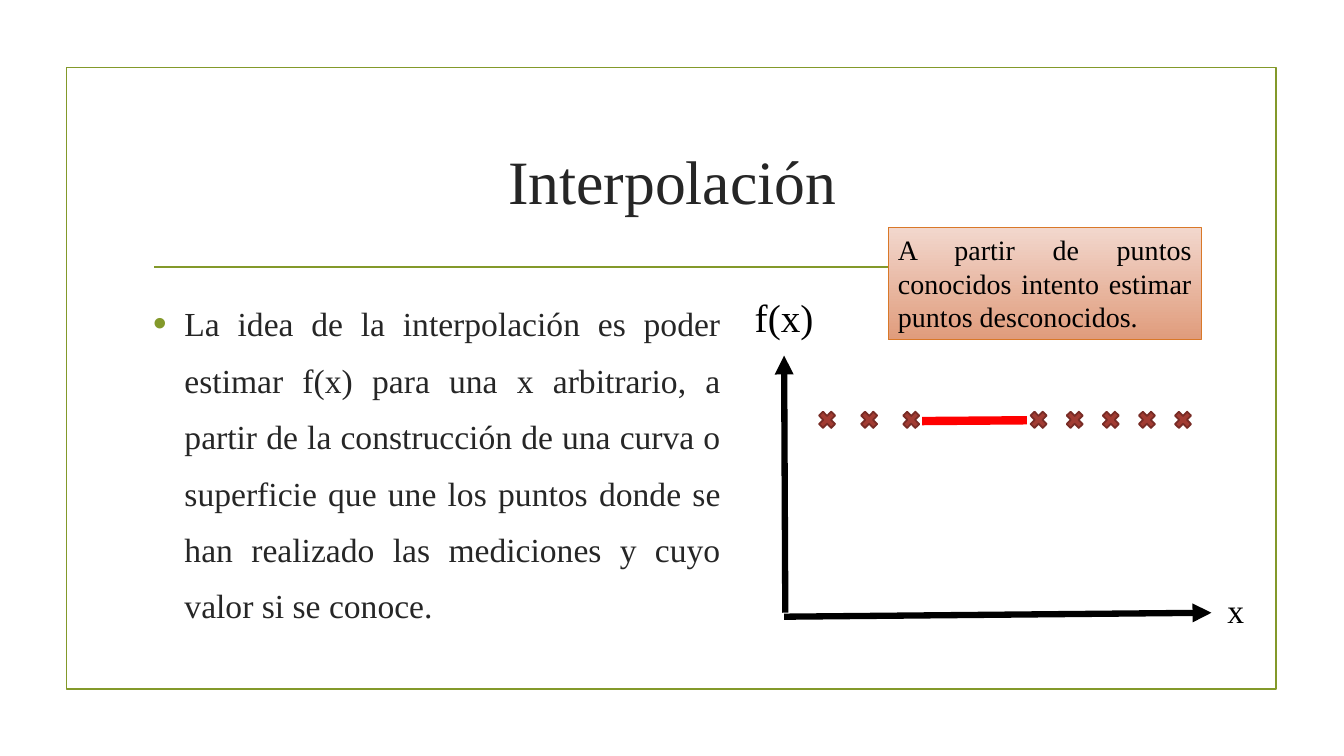
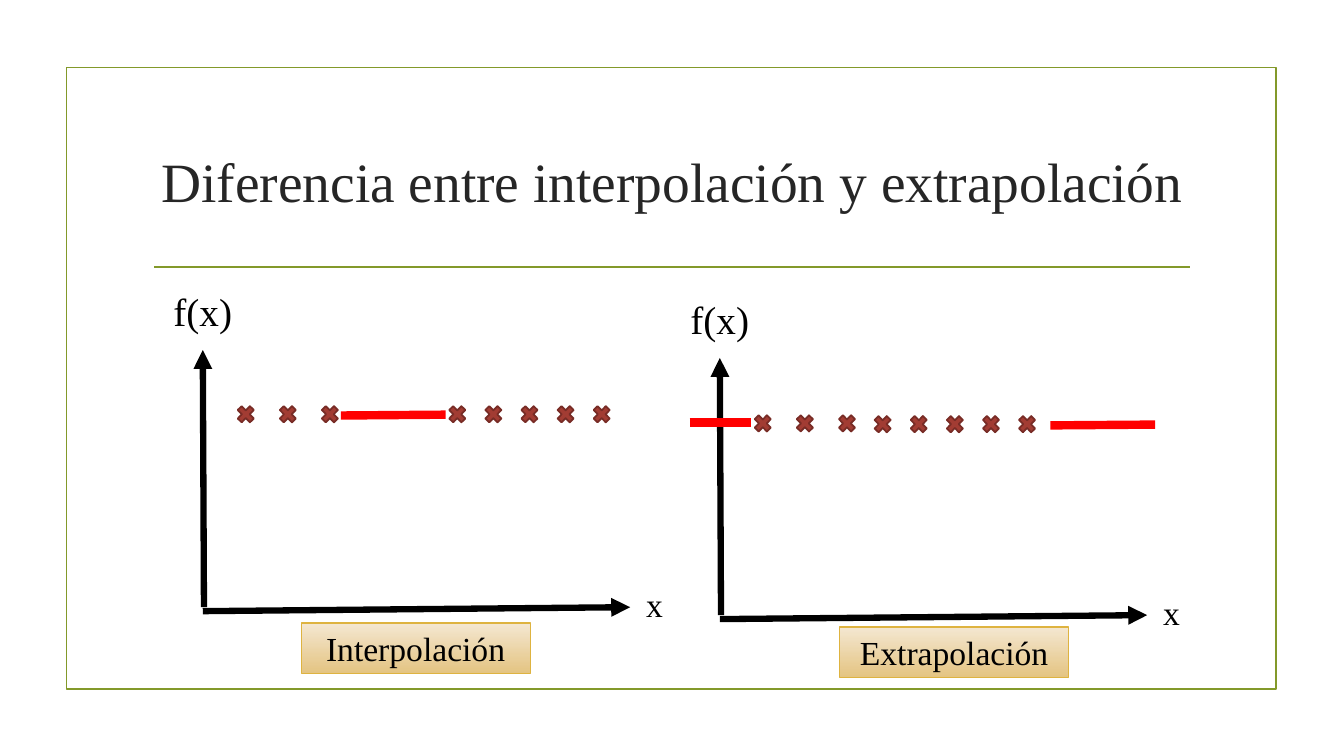
from dataclasses import dataclass

from lxml import etree
from pptx import Presentation
from pptx import util as u
from pptx.dml.color import RGBColor
from pptx.enum import shapes, text
from pptx.oxml import ns


@dataclass(frozen=True)
class Theme:
    font: str = "Times New Roman"
    accent: str = "83992A"
    title: str = "262626"
    ink: str = "000000"
    cross: str = "A23C33"
    cross_edge: str = "782C26"
    estimate: str = "FF0000"
    orange: tuple = ("F2D7CD", "E09C7C", "D97828")
    gold: tuple = ("F4E7D1", "E4C482", "DEB340")
    small: float = 20
    normal: float = 24
    large: float = 28
    thin: float = 0.75
    edge: float = 1.25
    axis: float = 4.5
    thick: float = 6


THEME = Theme()
ALIGN = text.PP_ALIGN

# All lengths are centimetres; boxes are left, top, width, height.
PAGE = (33.87, 19.05)
FRAME = (1.68, 1.7, 30.48, 15.67)
RULE = ((3.89, 6.73), (30, 6.73))
TITLE_BOX = (3.61, 2.72, 26.67, 3.63)

# Chart parts are measured from the corner of the axes.
AXES = [((0.03, -0.1), (0, -6.58)), ((0, 0), (10.77, -0.1))]
AXIS_LABELS = [
    ("x", (10.85, -0.81, 1.07, 1.27), THEME.normal),
    ("f(x)", (-1.37, -8.28, 2.74, 1.45), THEME.large),
]
CROSS_SIZE = (0.59, 0.6)
# Each row of crosses: first left, top, step, count.
INTERPOLATION = {
    "crosses": [(0.79, -5.26, 1.06, 3), (6.12, -5.26, 0.91, 5)],
    "estimates": [((3.48, -4.93), (6.12, -4.95))],
}
EXTRAPOLATION = {
    "crosses": [(0.79, -5.23, 1.06, 3), (3.81, -5.21, 0.91, 5)],
    "estimates": [((8.33, -4.88), (10.97, -4.9)), ((-0.76, -4.95), (0.79, -4.95))],
}

SLIDES = [
    {
        "title": "Interpolación",
        "title_size": 44,
        "body": (
            "La idea de la interpolación es poder estimar f(x) para una x arbitrario, "
            "a partir de la construcción de una curva o superficie que une los puntos "
            "donde se han realizado las mediciones y cuyo valor si se conoce.",
            (3.61, 7.11, 14.8, 9.22),
        ),
        "charts": [((19.76, 15.54), INTERPOLATION)],
        "notes": [
            ("A partir de puntos conocidos intento estimar puntos desconocidos.",
             (22.38, 5.74, 7.9, 2.82), THEME.orange, THEME.small, ALIGN.JUSTIFY),
        ],
    },
    {
        "title": "Diferencia entre interpolación y extrapolación",
        "title_size": 39.6,
        "charts": [((5.11, 15.4), INTERPOLATION), ((18.14, 15.6), EXTRAPOLATION)],
        "notes": [
            ("Interpolación", (7.59, 15.7, 5.77, 1.27), THEME.gold, THEME.normal, ALIGN.CENTER),
            ("Extrapolación", (21.16, 15.8, 5.77, 1.27), THEME.gold, THEME.normal, ALIGN.CENTER),
        ],
    },
]


def lengths(values):
    return [u.Cm(value) for value in values]


def shift(point, origin):
    return point[0] + origin[0], point[1] + origin[1]


def write(shape, words, size=THEME.normal, color=THEME.ink, align=ALIGN.CENTER,
          anchor=text.MSO_ANCHOR.TOP, wrap=True):
    frame = shape.text_frame
    frame.text = words
    frame.word_wrap = wrap
    frame.auto_size = text.MSO_AUTO_SIZE.NONE
    frame.vertical_anchor = anchor
    paragraph = frame.paragraphs[0]
    paragraph.alignment = align
    font = paragraph.runs[0].font
    font.name, font.size = THEME.font, u.Pt(size)
    font.color.rgb = RGBColor.from_string(color)
    return paragraph


def set_line(line, color, width):
    line.color.rgb = RGBColor.from_string(color)
    line.width = u.Pt(width)


def add_shape(slide, kind, box, line, width=THEME.edge, fill=()):
    """Fill with nothing, one colour, or a gradient from top to bottom."""
    shape = slide.shapes.add_shape(kind, *lengths(box))
    shape.shadow.inherit = False
    if len(fill) == 2:
        shape.fill.gradient()
        shape.fill.gradient_angle = 270
        for stop, color in zip(shape.fill.gradient_stops, fill):
            stop.color.rgb = RGBColor.from_string(color)
    elif fill:
        shape.fill.solid()
        shape.fill.fore_color.rgb = RGBColor.from_string(fill[0])
    else:
        shape.fill.background()
    set_line(shape.line, line, width)
    return shape


def add_line(slide, start, end, color, width, arrow=False):
    connector = slide.shapes.add_connector(
        shapes.MSO_CONNECTOR.STRAIGHT, *lengths(start + end))
    set_line(connector.line, color, width)
    if arrow:
        etree.SubElement(connector.get_or_add_ln(), ns.qn("a:tailEnd"), type="triangle")
    etree.SubElement(connector.element.spPr, ns.qn("a:effectLst"))
    return connector


def add_body(slide, words, box):
    shape = slide.shapes.add_textbox(*lengths(box))
    paragraph = write(shape, words, color=THEME.title, align=ALIGN.JUSTIFY)
    paragraph.line_spacing = 1.4
    paragraph.space_before = paragraph.space_after = u.Pt(6)
    properties = paragraph.runs[0].font  # creates run formatting before the bullet
    properties.bold = False
    bullet = paragraph._p.get_or_add_pPr()
    indent = u.Cm(0.79)
    bullet.set("marL", str(indent))
    bullet.set("indent", str(-indent))
    color = etree.SubElement(bullet, ns.qn("a:buClr"))
    etree.SubElement(color, ns.qn("a:srgbClr"), val=THEME.accent)
    etree.SubElement(bullet, ns.qn("a:buSzPct"), val="115000")
    etree.SubElement(bullet, ns.qn("a:buFont"), typeface="Arial")
    etree.SubElement(bullet, ns.qn("a:buChar"), char="•")


def add_chart_sketch(slide, origin, crosses, estimates):
    for start, end in AXES:
        add_line(slide, shift(start, origin), shift(end, origin),
                 THEME.ink, THEME.axis, arrow=True)
    for words, box, size in AXIS_LABELS:
        label = slide.shapes.add_textbox(*lengths(shift(box, origin) + box[2:]))
        write(label, words, size=size, wrap=False)
    for left, top, step, count in crosses:
        for index in range(count):
            corner = shift((left + index * step, top), origin)
            add_shape(slide, shapes.MSO_SHAPE.MATH_MULTIPLY, corner + CROSS_SIZE,
                      THEME.cross_edge, fill=(THEME.cross,))
    for start, end in estimates:
        add_line(slide, shift(start, origin), shift(end, origin),
                 THEME.estimate, THEME.thick)


def decorate_layout(layout, slide):
    """Draw the frame and rule on a slide, then move them to its layout."""
    frame = add_shape(slide, shapes.MSO_SHAPE.RECTANGLE, FRAME, THEME.accent)
    rule = add_line(slide, *RULE, THEME.accent, THEME.edge)
    for shape in (frame, rule):
        layout.shapes.element.append(shape.element)


def add_slide(slide, content):
    title = slide.shapes.title
    title.left, title.top, title.width, title.height = lengths(TITLE_BOX)
    write(title, content["title"], size=content["title_size"], color=THEME.title,
          anchor=text.MSO_ANCHOR.MIDDLE)
    if "body" in content:
        add_body(slide, *content["body"])
    for origin, parts in content["charts"]:
        add_chart_sketch(slide, origin, **parts)
    for words, box, (top, bottom, edge), size, align in content["notes"]:
        note = add_shape(slide, shapes.MSO_SHAPE.RECTANGLE, box, edge,
                         width=THEME.thin, fill=(top, bottom))
        write(note, words, size=size, align=align)


def main():
    presentation = Presentation()
    presentation.slide_width, presentation.slide_height = lengths(PAGE)
    layout = presentation.slide_layouts[5]
    for index, content in enumerate(SLIDES):
        slide = presentation.slides.add_slide(layout)
        if index == 0:
            decorate_layout(layout, slide)
        add_slide(slide, content)
    presentation.save("out.pptx")


if __name__ == "__main__":
    main()
